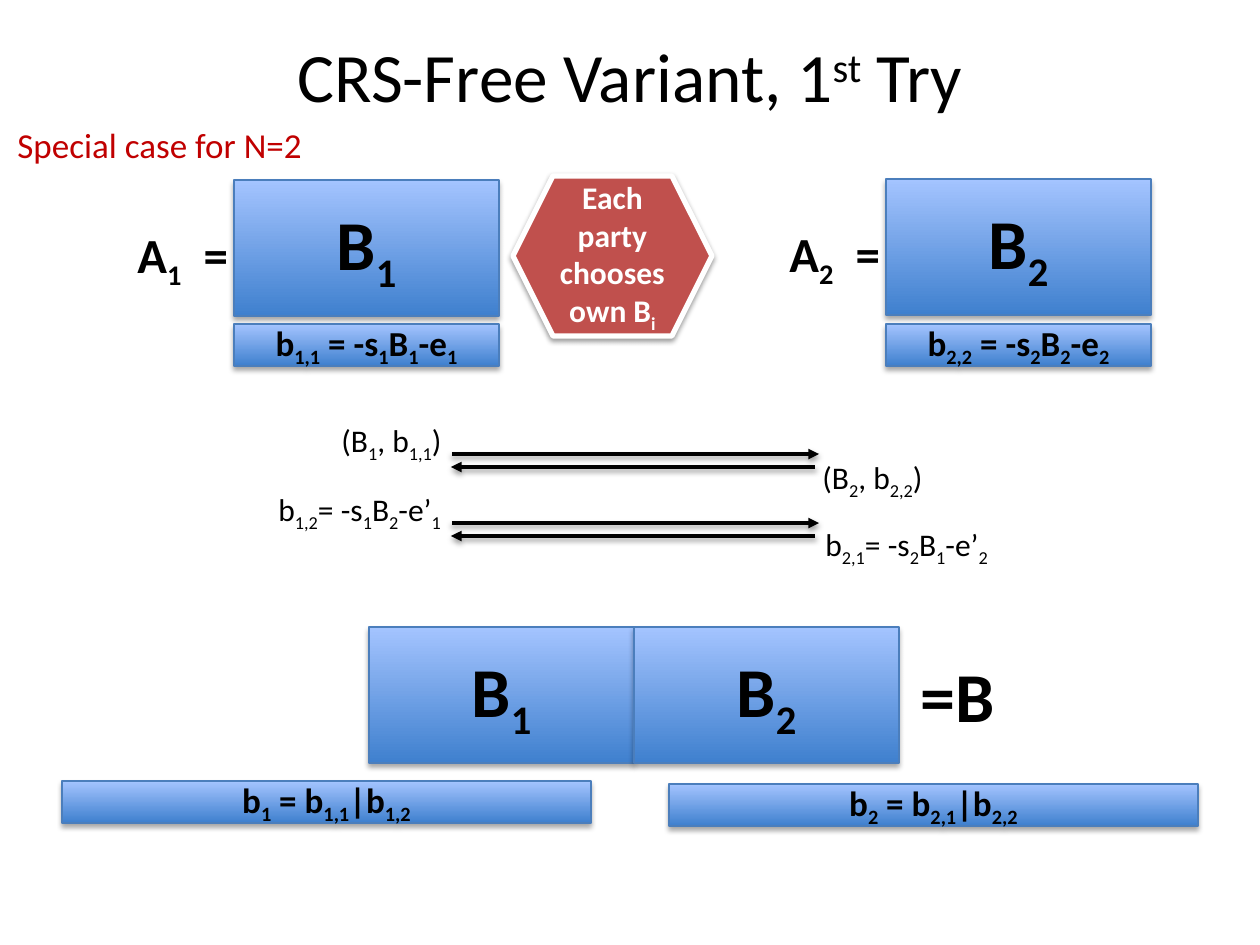
from lxml.etree import SubElement
from pptx import Presentation
from pptx.dml.color import RGBColor
from pptx.enum.shapes import MSO_CONNECTOR, MSO_SHAPE
from pptx.enum.text import MSO_ANCHOR, MSO_AUTO_SIZE, PP_ALIGN
from pptx.oxml.ns import qn
from pptx.util import Pt

EMU_PER_PX = 914400 / 126


def px(*lengths):
    return [round(n * EMU_PER_PX) for n in lengths]


def rgb(value):
    return RGBColor.from_string(value)


def write(tf, text, size=18, color="000000", bold=False, align=PP_ALIGN.LEFT,
          font="Calibri", shift=-25):
    p = tf.paragraphs[0]
    p.alignment = align
    for i, part in enumerate(text.split("~")):
        if not part:
            continue
        r = p.add_run()
        r.text = part
        r.font.name = font
        r.font.size = Pt(size)
        r.font.bold = bold
        r.font.color.rgb = rgb(color)
        if i % 2:
            r.font._element.set("baseline", str(shift * 1000))


class Deck:
    ink = "000000"
    red = "C00000"
    hex_fill = "C0504D"
    white = "FFFFFF"
    edge = "4B7EBC"
    gradient = ("3F80CE", "A4C4FF")

    def __init__(self, prs):
        self.s = prs.slides.add_slide(prs.slide_layouts[5])

    def shadow(self, sp, alpha, dist):
        effects = SubElement(sp.element.spPr, qn("a:effectLst"))
        outer = SubElement(effects, qn("a:outerShdw"), blurRad=str(Pt(3.1)),
                           dist=str(Pt(dist)), dir="5400000", rotWithShape="0")
        clr = SubElement(outer, qn("a:srgbClr"), val=self.ink)
        SubElement(clr, qn("a:alpha"), val=str(alpha * 1000))

    def title(self, text, x, y, w, h, bottom):
        sp = self.s.shapes.title
        sp.left, sp.top, sp.width, sp.height = px(x, y, w, h)
        tf = sp.text_frame
        tf.auto_size = MSO_AUTO_SIZE.NONE
        tf.vertical_anchor = MSO_ANCHOR.MIDDLE
        tf.margin_bottom = px(bottom)[0]
        write(tf, text, 39.6, align=PP_ALIGN.CENTER, shift=30)

    def label(self, text, x, y, w, h, wrap=False, **fmt):
        tf = self.s.shapes.add_textbox(*px(x, y, w, h)).text_frame
        tf.word_wrap = wrap
        tf.auto_size = MSO_AUTO_SIZE.SHAPE_TO_FIT_TEXT
        write(tf, text, **fmt)

    def shape(self, kind, text, box, line, width, **fmt):
        sp = self.s.shapes.add_shape(kind, *px(*box))
        sp.line.color.rgb = rgb(line)
        sp.line.width = Pt(width)
        tf = sp.text_frame
        tf.word_wrap = True
        tf.vertical_anchor = MSO_ANCHOR.MIDDLE
        write(tf, text, bold=True, align=PP_ALIGN.CENTER, **fmt)
        return sp

    def block(self, text, x, y, w=265, h=136, size=40):
        sp = self.shape(MSO_SHAPE.RECTANGLE, text, (x, y, w, h), self.edge, 0.75,
                        size=size)
        sp.fill.gradient()
        sp.fill.gradient_angle = 90
        for i, stop in enumerate(sp.fill.gradient_stops):
            stop.position = i
            stop.color.rgb = rgb(self.gradient[i])
        self.shadow(sp, 35, 1.8)

    def strip(self, text, x, y, w=265):
        self.block(text, x, y, w, 42, 20)

    def hexagon(self, text, *box):
        sp = self.shape(MSO_SHAPE.HEXAGON, text, box, self.white, 3, color=self.white)
        sp.fill.solid()
        sp.fill.fore_color.rgb = rgb(self.hex_fill)
        self.shadow(sp, 38, 1.6)

    def arrow(self, x1, x2, y):
        c = self.s.shapes.add_connector(MSO_CONNECTOR.STRAIGHT, *px(x1, y, x2, y))
        c.line.color.rgb = rgb(self.ink)
        c.line.width = Pt(2)
        SubElement(c.element.spPr.find(qn("a:ln")), qn("a:tailEnd"), type="triangle")
        self.shadow(c, 38, 1.6)


def main():
    prs = Presentation()
    prs.slide_width, prs.slide_height = px(1260, 945)
    d = Deck(prs)
    d.title("CRS-Free Variant, 1~st~ Try", 63, 38, 1134, 158, 90)
    d.label("Special case for N=2", 5, 117, 312, 55, size=20, color=d.red)

    for n, x, y in ((2, 886, 179), (1, 234, 180)):
        d.block(f"B~{n}~", x, y)
        d.strip(f"b~{n},{n}~ = -s~{n}~B~{n}~-e~{n}~", x, 324)
        d.label(f"A~{n}~  =", x - 109, y + 38, 209, 72, size=28, bold=True)
    d.hexagon("Each party chooses own B~i~", 513, 176, 199, 160)

    for y in (454, 523):
        d.arrow(452, 819, y)
        d.arrow(815, 451, y + 13)
    for n, x, y, w in ((2, 810, 452, 154), (1, 329, 415, 132)):
        d.label(f"(B~{n}~, b~{n},{n}~)", x, y, w, 50, wrap=True)
    for n, m, x, y in ((2, 1, 813, 519), (1, 2, 266, 484)):
        d.label(f"b~{n},{m}~= -s~{n}~B~{m}~-e’~{n}~", x, y, 204, 50, wrap=True)

    for n, x in ((1, 369), (2, 634)):
        d.block(f"B~{n}~", x, 627)
    d.label("=B", 908, 646, 100, 97, size=40, bold=True)
    for n, x, y in ((1, 62, 781), (2, 669, 784)):
        d.strip(f"b~{n}~ = b~{n},1~|b~{n},2~", x, y, 529)
    prs.save("out.pptx")


if __name__ == "__main__":
    main()
